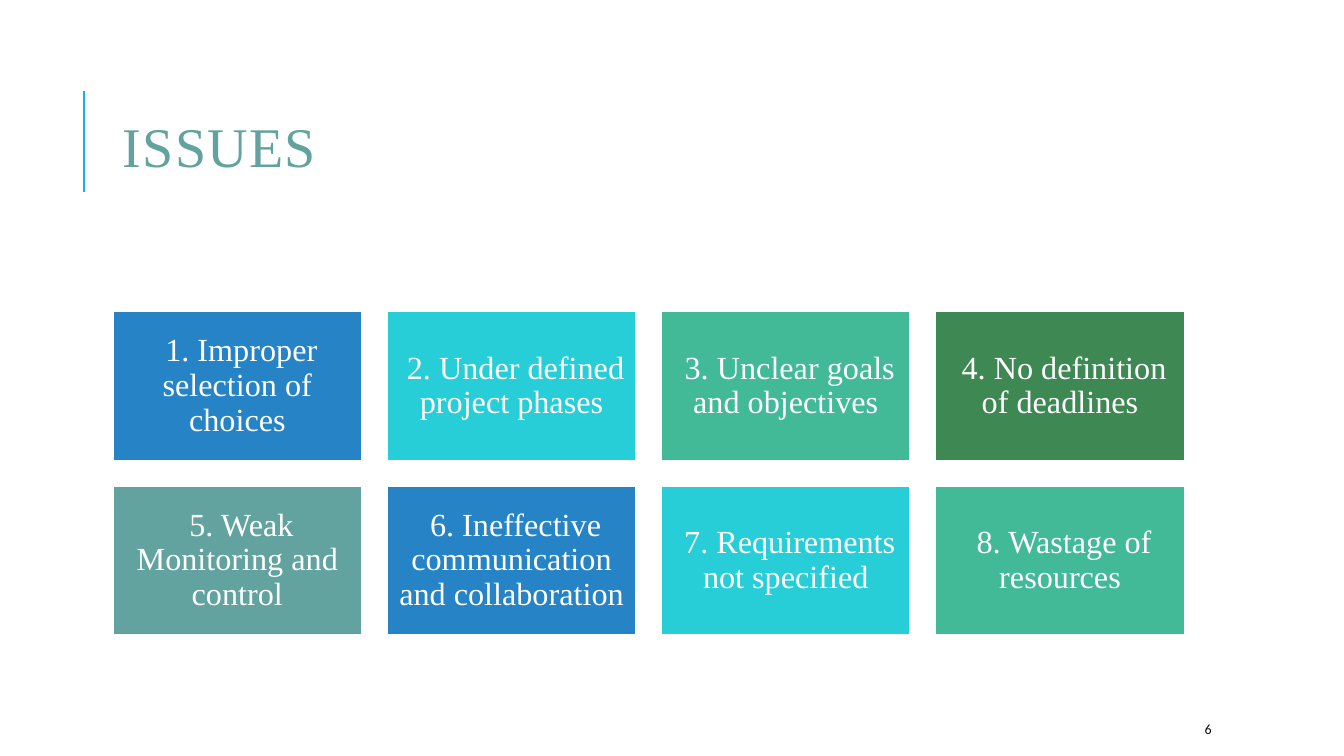
from lxml import etree
from pptx import Presentation
from pptx import util as u
from pptx.dml import color
from pptx.enum import shapes, text
from pptx.oxml import ns

COLORS = {
    "accent": "1CADE4",
    "blue": "2683C6",
    "cyan": "27CED7",
    "mint": "42BA97",
    "green": "3E8853",
    "sage": "62A39F",
    "white": "FFFFFF",
    "ink": "0D0D0D",
}
CARD_CYCLE = ["blue", "cyan", "mint", "green", "sage"]
SERIF = "Times New Roman"
ISSUES = [
    "Improper selection of choices",
    "Under defined project phases",
    "Unclear goals and objectives",
    "No definition of deadlines",
    "Weak Monitoring and control",
    "Ineffective communication and collaboration",
    "Requirements not specified",
    "Wastage of resources",
]


def rgb(name):
    """Return the named colour."""
    return color.RGBColor.from_string(COLORS[name])


def style_run(run, size, font, ink):
    """Set the size, typeface and colour of a run."""
    run.font.size = u.Pt(size)
    run.font.name = font
    run.font.color.rgb = rgb(ink)


def add_label(slide, left, top, width, height):
    """Add a wrapping, vertically centred text box and return its frame."""
    box = slide.shapes.add_textbox(*map(u.Inches, (left, top, width, height)))
    box.text_frame.word_wrap = True
    box.text_frame.vertical_anchor = text.MSO_ANCHOR.MIDDLE
    return box.text_frame


def add_heading(slide, left, top, width, height):
    """Place the title and the accent rule to its left."""
    rule_x, rule_top = u.Inches(left - 0.29), u.Inches(top + 0.26)
    rule = slide.shapes.add_connector(
        shapes.MSO_CONNECTOR.STRAIGHT,
        rule_x, rule_top + u.Inches(1), rule_x, rule_top)
    rule.line.color.rgb = rgb("accent")
    rule.line.width = u.Pt(1.5)
    etree.SubElement(rule._element.spPr, ns.qn("a:effectLst"))

    heading = add_label(slide, left, top, width, height).paragraphs[0]
    heading.line_spacing = 0.8
    for wording, size in (("ISSUES", 40), (" ", 50)):
        run = heading.add_run()
        run.text = wording
        style_run(run, size, SERIF, "sage")
        run.font._element.set("spc", "100")


def add_issue_card(slide, left, top, width, height, wording, fill):
    """Place one coloured card with its issue."""
    card = slide.shapes.add_shape(
        shapes.MSO_SHAPE.RECTANGLE, *map(u.Inches, (left, top, width, height)))
    card.shadow.inherit = False
    card.fill.solid()
    card.fill.fore_color.rgb = rgb(fill)
    card.line.color.rgb = rgb("white")
    card.line.width = u.Pt(1.25)
    frame = card.text_frame
    frame.word_wrap = True
    frame.vertical_anchor = text.MSO_ANCHOR.MIDDLE
    frame.margin_left = frame.margin_right = u.Inches(0.1)
    frame.margin_top = frame.margin_bottom = u.Inches(0.1)
    frame.text = wording
    issue = frame.paragraphs[0]
    issue.alignment = text.PP_ALIGN.CENTER
    issue.line_spacing = 0.9
    style_run(issue.runs[0], 23, SERIF, "white")


def add_issue_grid(slide, left, top, width, height, columns=4, gap=0.25):
    """Fill the box with numbered issue cards in equal columns and rows."""
    rows = -(-len(ISSUES) // columns)
    card_width = (width - gap * (columns - 1)) / columns
    card_height = (height - gap * (rows - 1)) / rows
    for index, issue in enumerate(ISSUES):
        row, column = divmod(index, columns)
        add_issue_card(
            slide,
            left + column * (card_width + gap),
            top + row * (card_height + gap),
            card_width, card_height,
            f" {index + 1}. {issue}",
            CARD_CYCLE[index % len(CARD_CYCLE)])


def add_page_number(slide, left, top, width, height, number):
    """Place the page number in the footer."""
    frame = add_label(slide, left, top, width, height)
    frame.text = str(number)
    style_run(frame.paragraphs[0].runs[0], 10, "Calibri", "ink")


def main():
    """Build and save the issues slide."""
    deck = Presentation()
    deck.slide_width, deck.slide_height = u.Inches(13.33), u.Inches(7.5)
    slide = deck.slides.add_slide(deck.slide_layouts[6])
    add_heading(slide, 1.12, 0.64, 10.63, 1.64)
    add_page_number(slide, 11.85, 7.08, 1.06, 0.3, 6)
    add_issue_grid(slide, 1.12, 3.09, 10.63, 3.21)
    deck.save("out.pptx")


if __name__ == "__main__":
    main()
